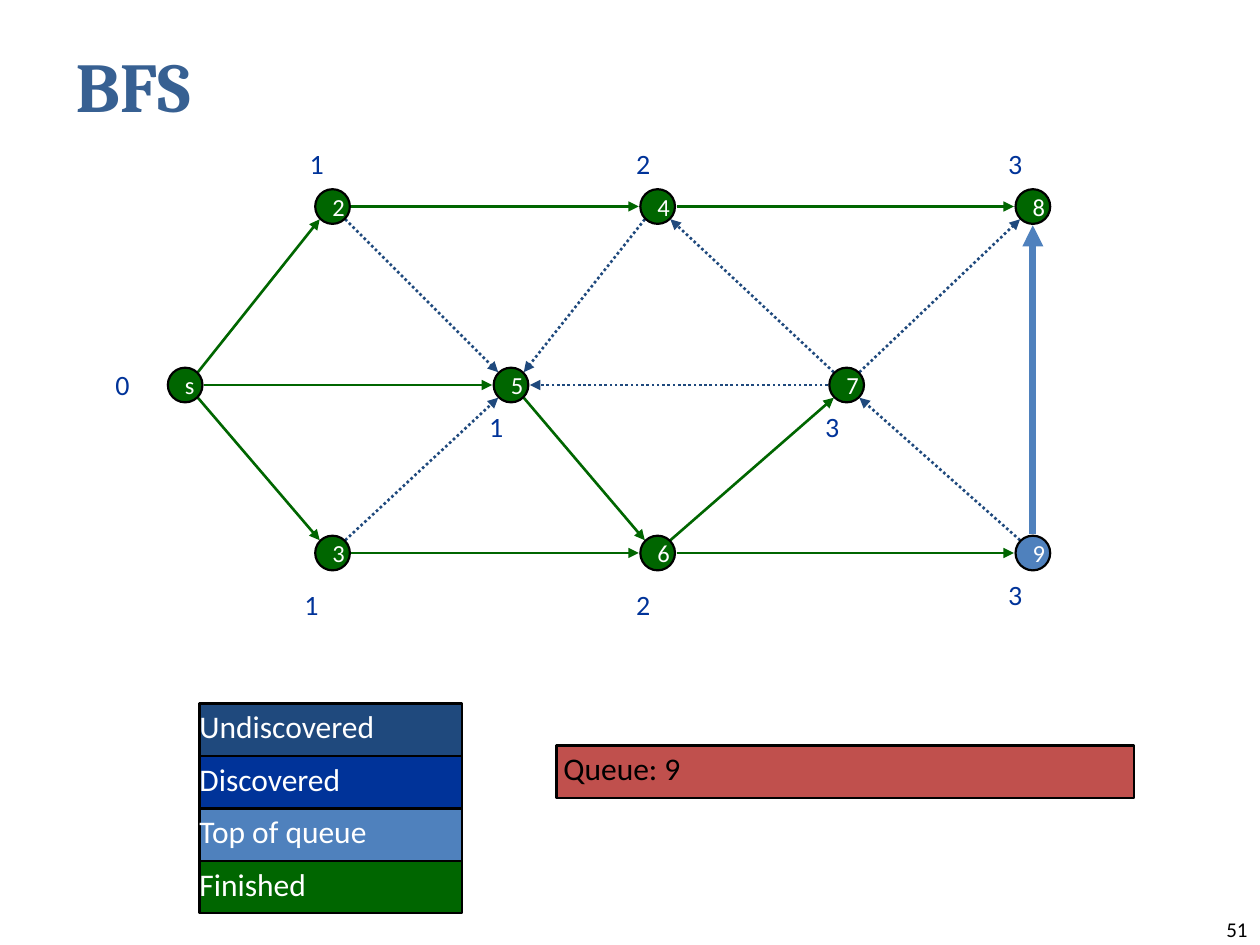
import pptx
import pptx.util
import pptx.dml.color
import pptx.enum.dml
import pptx.enum.shapes
import pptx.enum.text
import pptx.oxml.xmlchemy
from lxml import etree

Pt = pptx.util.Pt
RGBColor = pptx.dml.color.RGBColor
SHAPE = pptx.enum.shapes.MSO_SHAPE
ANCHOR = pptx.enum.text.MSO_ANCHOR
ALIGN = pptx.enum.text.PP_ALIGN
DRAWING = "{http://schemas.openxmlformats.org/drawingml/2006/main}"

BLACK = RGBColor(0x00, 0x00, 0x00)
WHITE = RGBColor(0xFF, 0xFF, 0xFF)
TITLE_BLUE = RGBColor(0x37, 0x60, 0x92)
UNDISCOVERED = RGBColor(0x1F, 0x49, 0x7D)
DISCOVERED = RGBColor(0x00, 0x33, 0x99)
TOP_OF_QUEUE = RGBColor(0x4F, 0x81, 0xBD)
FINISHED = RGBColor(0x00, 0x66, 0x00)
QUEUE_RED = RGBColor(0xC0, 0x50, 0x4D)

deck = pptx.Presentation()
deck.slide_width, deck.slide_height = Pt(720), Pt(540)
page = deck.slides.add_slide(deck.slide_layouts[5])


def write(shape, text, size, color, insets, anchor=ANCHOR.TOP, align=ALIGN.LEFT, wrap=True):
    """Put one formatted line into shape; insets are left, top, right, bottom."""
    frame = shape.text_frame
    frame.margin_left, frame.margin_top, frame.margin_right, frame.margin_bottom = map(Pt, insets)
    frame.vertical_anchor = anchor
    frame.word_wrap = wrap
    para = frame.paragraphs[0]
    para.text = text
    para.alignment = align
    para.font.name = "Calibri"
    para.font.size = Pt(size)
    para.font.color.rgb = color
    return para


def add_filled(kind, left, top, width, height, fill):
    shape = page.shapes.add_shape(kind, Pt(left), Pt(top), Pt(width), Pt(height))
    shape.shadow.inherit = False
    shape.fill.solid()
    shape.fill.fore_color.rgb = fill
    shape.line.color.rgb = BLACK
    shape.line.width = Pt(1.25)
    return shape


# Title and page number
title = page.shapes.title
title.left, title.top, title.width, title.height = Pt(36), Pt(21.6), Pt(648), Pt(53.3)
heading = write(title, "BFS", 40, TITLE_BLUE, (7.2, 3.6, 7.2, 3.6), ANCHOR.MIDDLE)
heading.font.name = "Cambria"
heading.font.bold = True

number = page.shapes.add_textbox(Pt(570), Pt(522), Pt(150), Pt(18))
write(number, "51", 12, BLACK, (7.2, 3.6, 7.2, 3.6), ANCHOR.MIDDLE, ALIGN.RIGHT)

# Graph: node centres, then edges that stop just outside the nodes
TOP, MIDDLE, BOTTOM = 118, 220, 316
centres = {
    "s": (105.8, MIDDLE), "5": (292, MIDDLE), "7": (483.8, MIDDLE),
    "2": (190, TOP), "4": (375.8, TOP), "8": (590.2, TOP),
    "3": (190, BOTTOM), "6": (375.8, BOTTOM), "9": (590.2, BOTTOM),
}
edges = [(pair, FINISHED, 1.5, False) for pair in
         ("s2", "s5", "s3", "24", "48", "36", "69", "56", "67")]
edges += [(pair, UNDISCOVERED, 1.5, True) for pair in
          ("25", "35", "45", "74", "75", "78", "97")]
edges.append(("98", TOP_OF_QUEUE, 4, False))

for (start, end), color, width, dotted in edges:
    (x1, y1), (x2, y2) = centres[start], centres[end]
    right = (x2 > x1) - (x2 < x1)
    down = (y2 > y1) - (y2 < y1)
    gap = 7.3 if right and down else 10.8
    edge = page.shapes.add_connector(
        pptx.enum.shapes.MSO_CONNECTOR.STRAIGHT,
        Pt(x1 + gap * right), Pt(y1 + gap * down),
        Pt(x2 - gap * right), Pt(y2 - gap * down))
    edge.line.color.rgb = color
    edge.line.width = Pt(width)
    if dotted:
        edge.line.dash_style = pptx.enum.dml.MSO_LINE.ROUND_DOT
    properties = edge._element.spPr
    etree.SubElement(properties.find(DRAWING + "ln"), DRAWING + "tailEnd", type="triangle")
    etree.SubElement(properties, DRAWING + "effectLst")

DIAMETER = 19.8
for name, (x, y) in centres.items():
    fill = TOP_OF_QUEUE if name == "9" else FINISHED
    node = add_filled(SHAPE.OVAL, x - DIAMETER / 2, y - DIAMETER / 2, DIAMETER, DIAMETER, fill)
    write(node, name, 14, WHITE, (7.2, 3.6, 7.2, 3.6), ANCHOR.MIDDLE, wrap=False)

# Distance from s beside each node
distances = [
    ("0", 66, 210), ("1", 177, 84), ("2", 363.5, 84), ("3", 576, 84),
    ("1", 279.5, 234), ("3", 471.5, 234),
    ("1", 174, 336), ("2", 363.5, 336), ("3", 576, 330),
]
for distance, left, top in distances:
    label = page.shapes.add_textbox(Pt(left), Pt(top), Pt(26.5), Pt(19.5))
    write(label, distance, 16, DISCOVERED, (0, 0, 0, 0))

# Legend and queue
legend = [("Undiscovered", UNDISCOVERED), ("Discovered", DISCOVERED),
          ("Top of queue", TOP_OF_QUEUE), ("Finished", FINISHED)]
for row, (state, fill) in enumerate(legend):
    key = add_filled(SHAPE.RECTANGLE, 114, 402 + 30 * row, 150, 30, fill)
    write(key, state, 18, WHITE, (0, 2.2, 0, 0))

queue = add_filled(SHAPE.RECTANGLE, 318, 426, 330, 30, QUEUE_RED)
write(queue, "Queue: 9", 18, BLACK, (4, 2.2, 0, 0))

deck.save("out.pptx")
